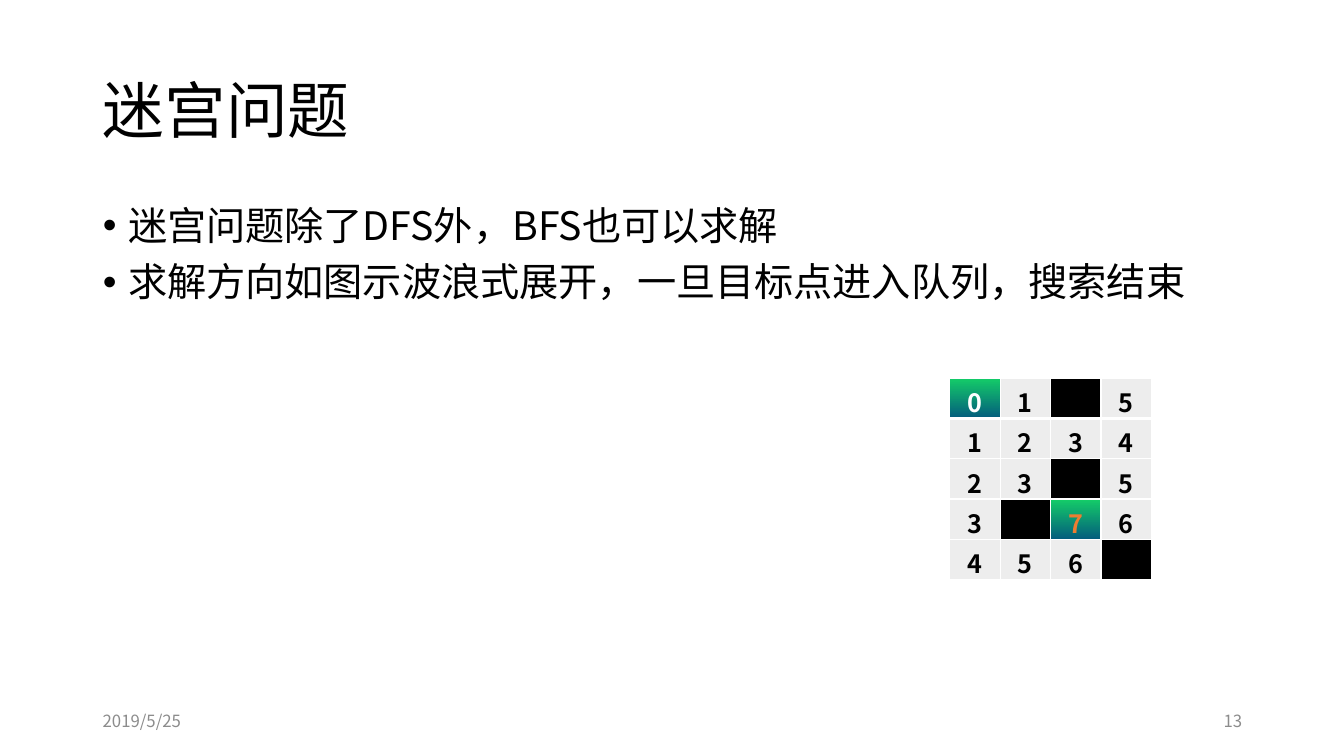
from dataclasses import dataclass

import lxml.etree
import pptx
import pptx.dml.color
import pptx.enum.text
import pptx.oxml.ns
import pptx.util
from pptx.util import Inches

FONT = "Noto Sans CJK SC"
COLORS = {
    "text": "000000", "footer": "8C8C8C", "white": "FFFFFF", "open": "EDEDED",
    "wall": "000000", "goal": "ED7D31", "top": "14CD68", "bottom": "035C7D",
}
ALIGN = pptx.enum.text.PP_ALIGN
ANCHOR = pptx.enum.text.MSO_ANCHOR
WALL = ""
MAZE = [
    ["0", "1", WALL, "5"],
    ["1", "2", "3", "4"],
    ["2", "3", WALL, "5"],
    ["3", WALL, "7", "6"],
    ["4", "5", "6", WALL],
]
ENDPOINTS = {(0, 0): "white", (3, 2): "goal"}
CELL_WIDTH, CELL_HEIGHT = 0.5, 0.4


@dataclass
class Footer:
    text: str
    left: float
    alignment: ALIGN


FOOTERS = [Footer("2019/5/25", 0.92, ALIGN.LEFT), Footer("13", 9.42, ALIGN.RIGHT)]


def rgb(name: str) -> pptx.dml.color.RGBColor:
    return pptx.dml.color.RGBColor.from_string(COLORS[name])


def add_element(parent, tag: str, **attributes: str):
    element = lxml.etree.SubElement(parent, pptx.oxml.ns.qn(tag))
    for key, value in attributes.items():
        element.set(key, value)
    return element


def format_paragraph(paragraph, size: float, color: str, alignment: ALIGN, bold: bool = False) -> None:
    paragraph.alignment = alignment
    font = paragraph.font
    font.name, font.size, font.bold = FONT, pptx.util.Pt(size), bold
    font.color.rgb = rgb(color)
    # East Asian text takes its own typeface
    defaults = paragraph._p.pPr.find(pptx.oxml.ns.qn("a:defRPr"))
    add_element(defaults, "a:ea", typeface=FONT)


def fill_placeholder(shape, lines: list[str], box: tuple, size: float, anchor: ANCHOR) -> None:
    shape.left, shape.top, shape.width, shape.height = map(Inches, box)
    frame = shape.text_frame
    frame.text = "\n".join(lines)
    frame.auto_size = pptx.enum.text.MSO_AUTO_SIZE.NONE
    frame.vertical_anchor = anchor
    for paragraph in frame.paragraphs:
        paragraph.line_spacing = 0.9
        format_paragraph(paragraph, size, "text", ALIGN.LEFT)


def add_bullet(paragraph) -> None:
    paragraph.space_before = pptx.util.Pt(10)
    properties = paragraph._p.pPr
    properties.set("marL", str(Inches(0.25)))
    properties.set("indent", str(-Inches(0.25)))
    defaults = properties.find(pptx.oxml.ns.qn("a:defRPr"))
    for tag, attributes in (("a:buFont", {"typeface": "Arial"}), ("a:buChar", {"char": "•"})):
        defaults.addprevious(add_element(properties, tag, **attributes))


def add_footer(slide, footer: Footer) -> None:
    shape = slide.shapes.add_textbox(Inches(footer.left), Inches(6.95), Inches(3), Inches(0.4))
    frame = shape.text_frame
    frame.word_wrap = True
    frame.vertical_anchor = ANCHOR.MIDDLE
    frame.text = footer.text
    format_paragraph(frame.paragraphs[0], 12, "footer", footer.alignment)


def set_borders(cell, row: int) -> None:
    # The rule under the first row is thicker
    widths = {"a:lnL": 1, "a:lnR": 1, "a:lnT": 3 if row == 1 else 1, "a:lnB": 3 if row == 0 else 1}
    properties = cell._tc.get_or_add_tcPr()
    for index, (tag, width) in enumerate(widths.items()):
        line = add_element(properties, tag, w=str(pptx.util.Pt(width)))
        add_element(add_element(line, "a:solidFill"), "a:srgbClr", val=COLORS["white"])
        properties.insert(index, line)


def fill_cell(cell, row: int, column: int) -> None:
    value = MAZE[row][column]
    cell.text = value
    color = ENDPOINTS.get((row, column), "text")
    format_paragraph(cell.text_frame.paragraphs[0], 18, color, ALIGN.CENTER, bold=True)
    if (row, column) in ENDPOINTS:
        cell.fill.gradient()
        cell.fill.gradient_angle = 270
        for stop, name in zip(cell.fill.gradient_stops, ("top", "bottom")):
            stop.color.rgb = rgb(name)
    else:
        cell.fill.solid()
        cell.fill.fore_color.rgb = rgb("wall" if value == WALL else "open")
    set_borders(cell, row)


def add_maze(slide) -> None:
    rows, columns = len(MAZE), len(MAZE[0])
    table = slide.shapes.add_table(
        rows, columns, Inches(9.42), Inches(3.75),
        Inches(columns * CELL_WIDTH), Inches(rows * CELL_HEIGHT),
    ).table
    for row in range(rows):
        for column in range(columns):
            fill_cell(table.cell(row, column), row, column)


def main() -> None:
    presentation = pptx.Presentation()
    presentation.slide_width, presentation.slide_height = Inches(13.33), Inches(7.5)
    slide = presentation.slides.add_slide(presentation.slide_layouts[1])

    # Title and bullet list
    fill_placeholder(slide.shapes.title, ["迷宫问题"], (0.92, 0.4, 11.5, 1.45), 44, ANCHOR.MIDDLE)
    body = slide.placeholders[1]
    lines = ["迷宫问题除了DFS外，BFS也可以求解", "求解方向如图示波浪式展开，一旦目标点进入队列，搜索结束"]
    fill_placeholder(body, lines, (0.92, 2, 11.5, 4.76), 28, ANCHOR.TOP)
    for paragraph in body.text_frame.paragraphs:
        add_bullet(paragraph)

    # Date and page number
    for footer in FOOTERS:
        add_footer(slide, footer)

    # Maze with step counts
    add_maze(slide)
    presentation.save("out.pptx")


if __name__ == "__main__":
    main()
